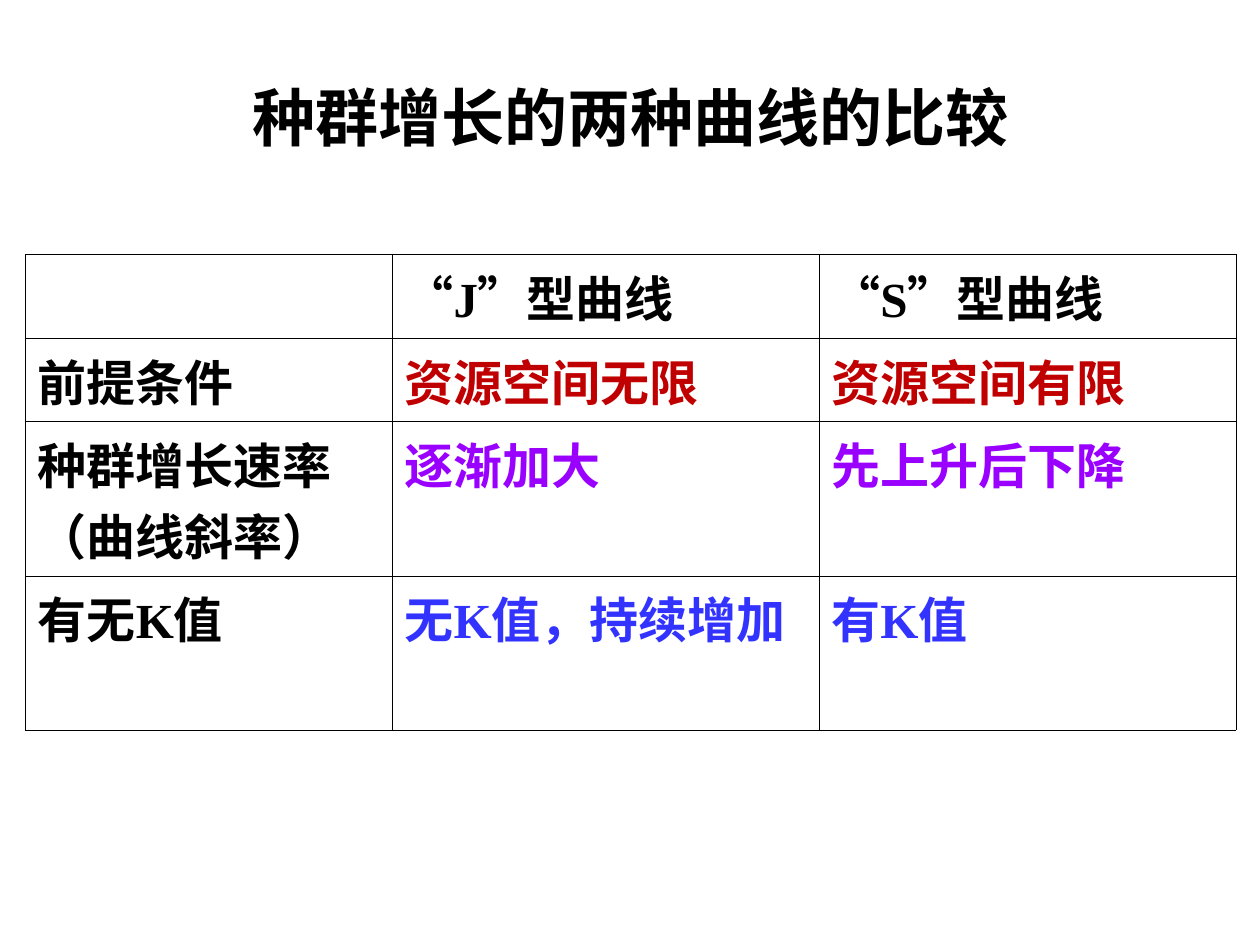
from itertools import groupby

from lxml import etree
from pptx import Presentation
from pptx import util as u
from pptx.dml.color import RGBColor
from pptx.enum import lang, text
from pptx.oxml.ns import qn

COLORS = {"black": "000000", "red": "C00000", "purple": "9900FF", "blue": "3333FF"}
CJK, LATIN, QUOTE = "Noto Sans CJK SC", "Times New Roman", "Arial"

TITLE = "种群增长的两种曲线的比较"
COLUMN_WIDTHS = [209.5, 244, 238.5]
# Row height, colour of the two comparison columns, texts
ROWS = [
    (41, "black", ["", "“J”型曲线", "“S”型曲线"]),
    (41, "red", ["前提条件", "资源空间无限", "资源空间有限"]),
    (74, "purple", ["种群增长速率（曲线斜率）", "逐渐加大", "先上升后下降"]),
    (74, "blue", ["有无K值", "无K值，持续增加", "有K值"]),
]


def font_for(char):
    if char in "“”":
        return QUOTE
    return LATIN if char.isascii() else CJK


def write(p, content, size, color):
    """Fill a paragraph with one run per font."""
    p.font.size = u.Pt(size)
    p.font.bold = True
    p.font.color.rgb = RGBColor.from_string(COLORS[color])
    for name, chars in groupby(content, font_for):
        r = p.add_run()
        r.text = "".join(chars)
        r.font.size = u.Pt(size)
        r.font.bold = True
        r.font.color.rgb = RGBColor.from_string(COLORS[color])
        r.font.name = name
        r.font.language_id = lang.MSO_LANGUAGE_ID.SIMPLIFIED_CHINESE
        ea = etree.SubElement(r.font._element, qn("a:ea"))
        ea.set("typeface", CJK)


def add_borders(cell, color, width):
    tc_pr = cell._tc.get_or_add_tcPr()
    for i, side in enumerate(("a:lnL", "a:lnR", "a:lnT", "a:lnB")):
        ln = etree.Element(qn(side), w=str(int(u.Pt(width))))
        fill = etree.SubElement(ln, qn("a:solidFill"))
        etree.SubElement(fill, qn("a:srgbClr"), val=COLORS[color])
        tc_pr.insert(i, ln)


def add_title(s):
    sp = s.shapes.title
    sp.left, sp.top, sp.width, sp.height = map(u.Pt, (36, 21.6, 648, 90))
    tf = sp.text_frame
    tf.vertical_anchor = text.MSO_ANCHOR.MIDDLE
    p = tf.paragraphs[0]
    p.alignment = text.PP_ALIGN.CENTER
    write(p, TITLE, 36, "black")


def add_comparison(s):
    frame = s.shapes.add_table(len(ROWS), len(COLUMN_WIDTHS), u.Pt(14.5), u.Pt(145.5),
                               u.Pt(sum(COLUMN_WIDTHS)), u.Pt(sum(row[0] for row in ROWS)))
    table = frame.table
    table.first_row = table.horz_banding = False
    for column, width in zip(table.columns, COLUMN_WIDTHS):
        column.width = u.Pt(width)
    for i, (height, color, texts) in enumerate(ROWS):
        table.rows[i].height = u.Pt(height)
        for j, content in enumerate(texts):
            cell = table.cell(i, j)
            cell.fill.background()
            add_borders(cell, "black", 0.23)
            write(cell.text_frame.paragraphs[0], content, 28, color if j else "black")


def main():
    prs = Presentation()
    prs.slide_width, prs.slide_height = u.Pt(720), u.Pt(540)
    s = prs.slides.add_slide(prs.slide_layouts[5])  # Title Only
    add_title(s)
    add_comparison(s)
    prs.save("out.pptx")


if __name__ == "__main__":
    main()
